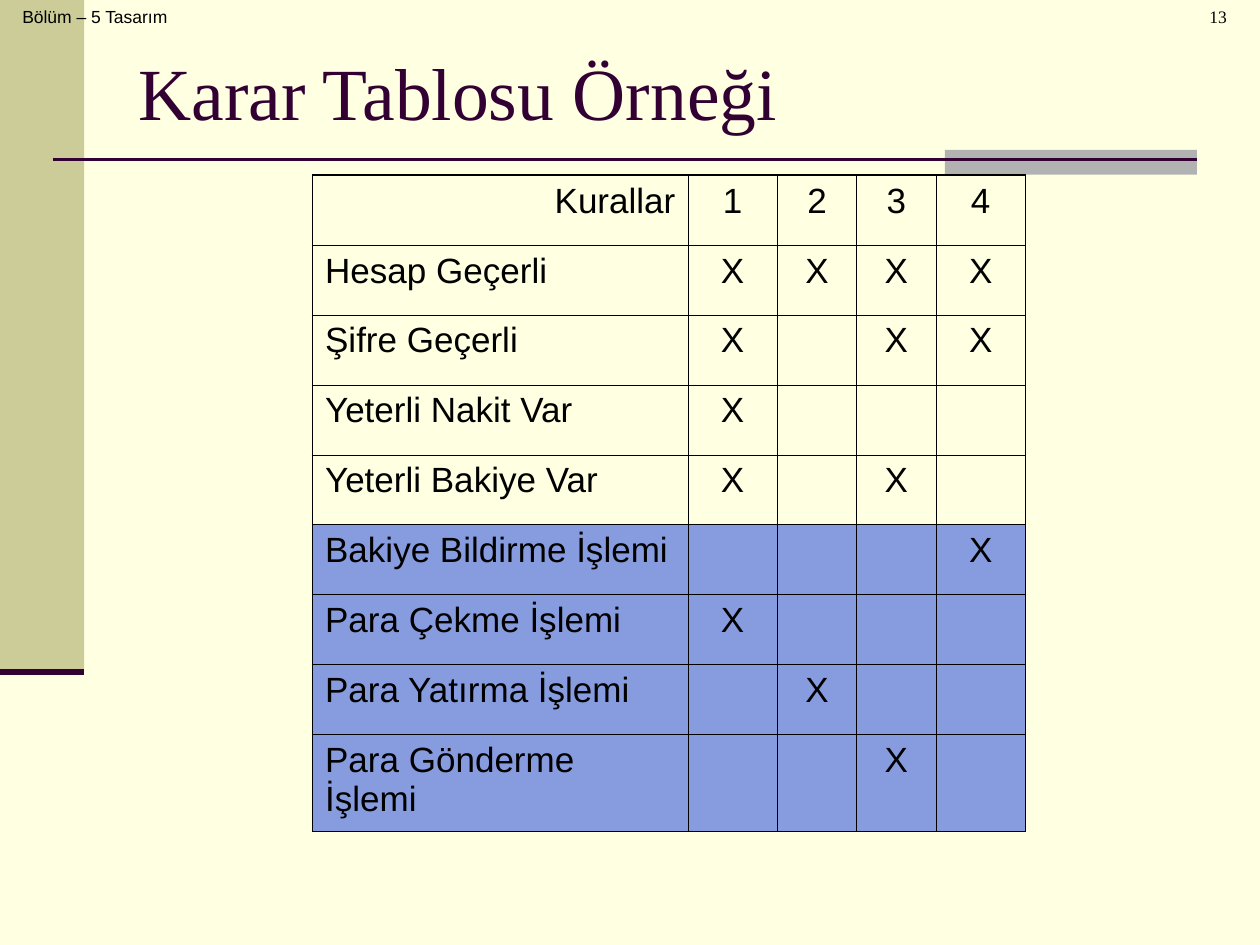
from lxml.etree import SubElement
from pptx import Presentation
from pptx.dml.color import RGBColor
from pptx.enum.shapes import MSO_CONNECTOR as Connector, MSO_SHAPE as Shape
from pptx.enum.text import MSO_ANCHOR as Anchor, PP_ALIGN as Align
from pptx.oxml.ns import qn
from pptx.util import Cm, Pt

CREAM = RGBColor(0xFF, 0xFF, 0xE1)
OLIVE = RGBColor(0xCC, 0xCC, 0x99)
GRAY = RGBColor(0xB2, 0xB2, 0xB2)
PLUM = RGBColor(0x33, 0x00, 0x33)
BLUE = RGBColor(0x87, 0x9C, 0xDF)
BLACK = RGBColor(0x00, 0x00, 0x00)

SANS, SERIF = "Arial", "Times New Roman"
OUTER_BORDER, INNER_BORDER = Pt(1.08), Pt(0.45)

HEADINGS = ["Kurallar", "1", "2", "3", "4"]
CONDITIONS = [
    ("Hesap Geçerli", {1, 2, 3, 4}),
    ("Şifre Geçerli", {1, 3, 4}),
    ("Yeterli Nakit Var", {1}),
    ("Yeterli Bakiye Var", {1, 3}),
]
ACTIONS = [
    ("Bakiye Bildirme İşlemi", {4}),
    ("Para Çekme İşlemi", {1}),
    ("Para Yatırma İşlemi", {2}),
    ("Para Gönderme İşlemi", {3}),
]
COLUMN_WIDTHS = [7.57, 1.8, 1.6, 1.6, 1.8]
ROW_HEIGHTS = [1.41] * 8 + [1.95]


def write_text(frame, text, size=20, font=SANS, color=BLACK,
               align=Align.LEFT, space_before=0):
    """Write one formatted paragraph into a text frame."""
    paragraph = frame.paragraphs[0]
    paragraph.alignment = align
    paragraph.space_before = Pt(space_before)
    run = paragraph.add_run()
    run.text = text
    run.font.size = Pt(size)
    run.font.name = font
    run.font.color.rgb = color


def add_block(slide, left, top, width, height, color):
    """Add a plain filled rectangle."""
    shape = slide.shapes.add_shape(
        Shape.RECTANGLE, Cm(left), Cm(top), Cm(width), Cm(height))
    shape.shadow.inherit = False
    shape.fill.solid()
    shape.fill.fore_color.rgb = color
    shape.line.fill.background()


def add_rule(slide, left, top, width, weight):
    """Add a horizontal plum line."""
    line = slide.shapes.add_connector(
        Connector.STRAIGHT, Cm(left), Cm(top), Cm(left + width), Cm(top))
    line.line.color.rgb = PLUM
    line.line.width = Pt(weight)
    SubElement(line._element.spPr, qn("a:effectLst"))


def add_label(slide, left, top, width, height, text, **text_format):
    """Add a small wrapped text box and return it."""
    box = slide.shapes.add_textbox(Cm(left), Cm(top), Cm(width), Cm(height))
    box.text_frame.word_wrap = True
    write_text(box.text_frame, text, size=10, **text_format)
    return box


def add_sidebar(slide, left, top, width, height):
    """Add the olive side band closed by a thick line."""
    add_block(slide, left, top, width, height, OLIVE)
    add_rule(slide, left, top + height, width, 3.5)


def add_title_rule(slide, left, top, width):
    """Add the line under the title with a gray bar at its right end."""
    bar_width, bar_height = 5.08, 0.5
    add_block(slide, left + width - bar_width, top - 0.2,
              bar_width, bar_height, GRAY)
    add_rule(slide, left, top, width, 1.5)


def add_header(slide, left, top, width):
    """Add the chapter name on the left and the page number on the right."""
    add_label(slide, left, top, 4.09, 1.12, "Bölüm – 5 Tasarım")
    number_width = 2.49
    number = add_label(slide, left + width - number_width, top, number_width,
                       1.27, "13", font=SERIF, align=Align.CENTER)
    number.text_frame.paragraphs[0]._p.get_or_add_pPr().set(
        "marL", str(Cm(0.6)))


def place_title(slide, left, top, width, height, text):
    """Move the title placeholder and fill it."""
    title = slide.shapes.title
    title.left, title.top = Cm(left), Cm(top)
    title.width, title.height = Cm(width), Cm(height)
    title.text_frame.vertical_anchor = Anchor.MIDDLE
    write_text(title.text_frame, text, size=42, font=SERIF, color=PLUM)


def set_borders(cell, widths):
    """Draw the left, right, top and bottom borders of a cell in black."""
    properties = cell._tc.get_or_add_tcPr()
    for side, width in zip("LRTB", widths):
        border = SubElement(properties, qn(f"a:ln{side}"), w=str(width))
        fill = SubElement(border, qn("a:solidFill"))
        SubElement(fill, qn("a:srgbClr"), val=str(BLACK))


def add_decision_table(slide, left, top):
    """Add the table of rules, conditions and actions."""
    rows = [HEADINGS] + [
        [name] + ["X" if rule in marks else "" for rule in range(1, 5)]
        for name, marks in CONDITIONS + ACTIONS]
    last_row, last_column = len(rows) - 1, len(HEADINGS) - 1
    table = slide.shapes.add_table(
        len(rows), len(HEADINGS), Cm(left), Cm(top),
        Cm(sum(COLUMN_WIDTHS)), Cm(sum(ROW_HEIGHTS))).table
    table.first_row = table.horz_banding = False
    for column, width in zip(table.columns, COLUMN_WIDTHS):
        column.width = Cm(width)
    for row, height in zip(table.rows, ROW_HEIGHTS):
        row.height = Cm(height)

    for r, values in enumerate(rows):
        for c, value in enumerate(values):
            cell = table.cell(r, c)
            edges = (c == 0, c == last_column, r == 0, r == last_row)
            set_borders(cell, [OUTER_BORDER if edge else INNER_BORDER
                               for edge in edges])
            if r > len(CONDITIONS):
                cell.fill.solid()
                cell.fill.fore_color.rgb = BLUE
            else:
                cell.fill.background()
            if value:
                name_align = Align.RIGHT if r == 0 else Align.LEFT
                write_text(cell.text_frame, value, space_before=5,
                           align=Align.CENTER if c else name_align)


def main():
    """Build the slide and save it."""
    presentation = Presentation()
    presentation.slide_width, presentation.slide_height = Cm(25.4), Cm(19.05)
    slide = presentation.slides.add_slide(presentation.slide_layouts[5])
    slide.background.fill.solid()
    slide.background.fill.fore_color.rgb = CREAM
    add_sidebar(slide, 0, 0, 1.7, 13.54)
    add_title_rule(slide, 1.06, 3.22, 23.07)
    add_header(slide, 0.2, 0, 25.3)
    place_title(slide, 2.54, 0.76, 21.59, 2.16, "Karar Tablosu Örneği")
    add_decision_table(slide, 6.3, 3.53)
    presentation.save("out.pptx")


if __name__ == "__main__":
    main()
